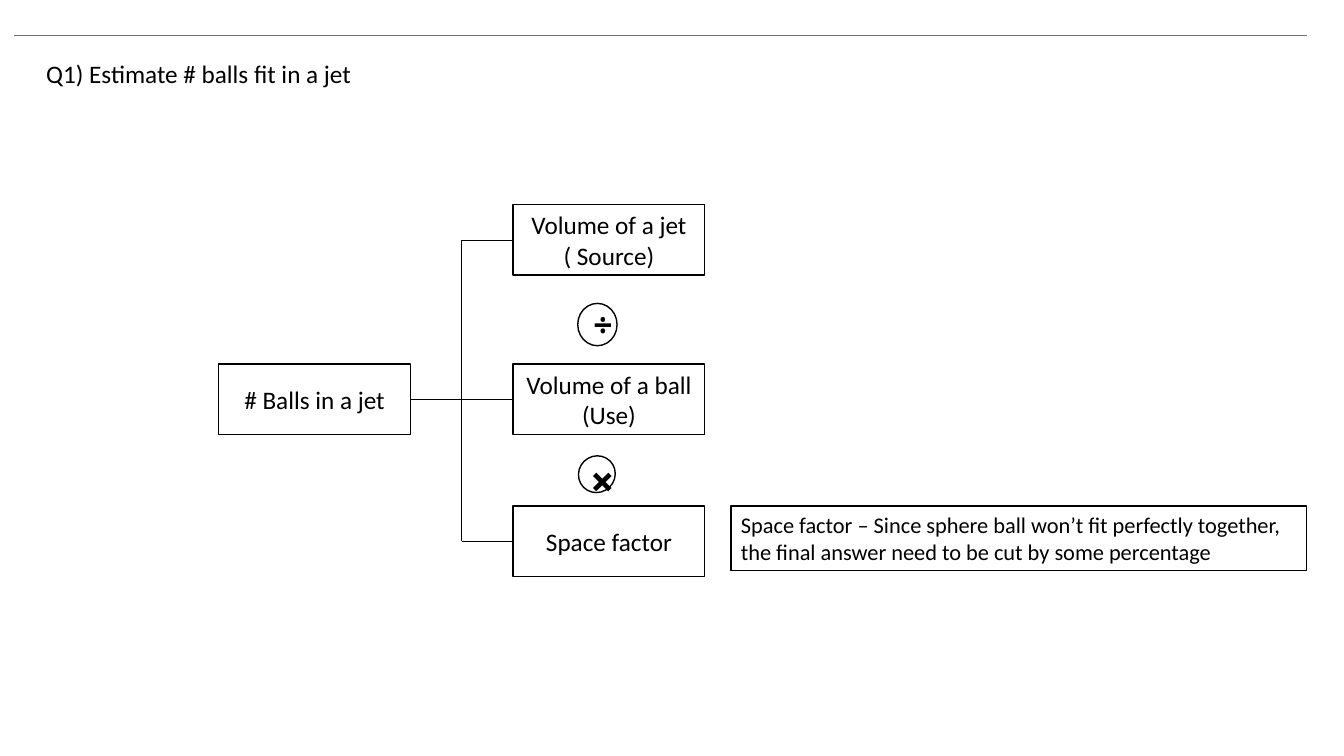
from dataclasses import dataclass

from lxml.etree import SubElement
from pptx import Presentation
from pptx.dml.color import RGBColor
from pptx.enum.shapes import MSO_CONNECTOR as Connector, MSO_SHAPE as Shape
from pptx.enum.text import MSO_ANCHOR as Anchor, MSO_AUTO_SIZE as AutoSize, PP_ALIGN as Align
from pptx.oxml.ns import qn
from pptx.util import Inches, Pt

TITLE = "Q1) Estimate # balls fit in a jet"
ROOT = "# Balls in a jet"
# Text and top of each factor; \v is a line break inside the paragraph.
FACTORS = [
    ("Volume of a jet\v( Source)", 2.03),
    ("Volume of a ball (Use)", 3.61),
    ("Space factor", 5.02),
]
# Sign, box (left, top, width, height), type size, rotation
OPERATORS = [
    ("÷", (5.73, 3.01, 0.39, 0.42), 24, 0),
    ("+", (5.74, 4.52, 0.36, 0.37), 32, 45.4),
]
NOTE = ("Space factor – Since sphere ball won’t fit perfectly together, "
        "the final answer need to be cut by some percentage")


@dataclass(frozen=True)
class Theme:
    ink: RGBColor = RGBColor(0x00, 0x00, 0x00)
    paper: RGBColor = RGBColor(0xFF, 0xFF, 0xFF)
    accent: RGBColor = RGBColor(0x44, 0x72, 0xC4)
    body_font: str = "Calibri"
    sign_font: str = "Open Sans"
    body_size: int = 18
    note_size: int = 16
    outline: float = 1
    branch: float = 0.5


THEME = Theme()
BOX_WIDTH, BOX_HEIGHT = 1.9, 0.7
ROOT_LEFT, FACTOR_LEFT = 2.17, 5.09
ROOT_TOP = FACTORS[1][1]
NOTE_LEFT, RIGHT_EDGE = 7.25, 12.96
LEFT_SIDE, RIGHT_SIDE = 1, 3


def write(shape, text, size=THEME.body_size, font=THEME.body_font, bold=False,
          align=Align.CENTER, anchor=Anchor.MIDDLE, grow=False):
    frame = shape.text_frame
    frame.word_wrap = True
    frame.vertical_anchor = anchor
    if grow:
        frame.auto_size = AutoSize.SHAPE_TO_FIT_TEXT
    paragraph = frame.paragraphs[0]
    paragraph.text = text
    paragraph.alignment = align
    for run in paragraph.runs:
        run.font.size = Pt(size)
        run.font.name = font
        run.font.bold = bold
        run.font.color.rgb = THEME.ink


def add_outlined(slide, kind, box, text, rotation=0, **text_format):
    shape = slide.shapes.add_shape(kind, *map(Inches, box))
    shape.shadow.inherit = False
    shape.rotation = rotation
    shape.fill.solid()
    shape.fill.fore_color.rgb = THEME.paper
    shape.line.color.rgb = THEME.ink
    shape.line.width = Pt(THEME.outline)
    write(shape, text, **text_format)
    return shape


def add_line(slide, start, end, color=THEME.ink, width=THEME.branch):
    line = slide.shapes.add_connector(Connector.STRAIGHT, *map(Inches, (*start, *end)))
    line.line.color.rgb = color
    line.line.width = Pt(width)
    SubElement(line._element.spPr, qn("a:effectLst"))
    return line


def add_tree(slide):
    """Join the root box to its factors through one vertical trunk."""
    root_right = ROOT_LEFT + BOX_WIDTH
    trunk = (root_right + FACTOR_LEFT) / 2
    root_middle = ROOT_TOP + BOX_HEIGHT / 2
    middles = [top + BOX_HEIGHT / 2 for _, top in FACTORS]

    root = add_outlined(slide, Shape.RECTANGLE,
                        (ROOT_LEFT, ROOT_TOP, BOX_WIDTH, BOX_HEIGHT), ROOT)
    stem = add_line(slide, (root_right, root_middle), (trunk, root_middle))
    stem.begin_connect(root, RIGHT_SIDE)
    add_line(slide, (trunk, middles[0]), (trunk, middles[-1]))
    for (text, top), middle in zip(FACTORS, middles):
        factor = add_outlined(slide, Shape.RECTANGLE,
                              (FACTOR_LEFT, top, BOX_WIDTH, BOX_HEIGHT), text)
        branch = add_line(slide, (trunk, middle), (FACTOR_LEFT, middle))
        branch.end_connect(factor, LEFT_SIDE)


def main():
    presentation = Presentation()
    presentation.slide_width, presentation.slide_height = Inches(13.33), Inches(7.5)
    slide = presentation.slides.add_slide(presentation.slide_layouts[6])

    add_line(slide, (0.14, 0.35), (RIGHT_EDGE, 0.35), THEME.accent, THEME.outline)
    title = slide.shapes.add_textbox(*map(Inches, (0.36, 0.53, 12, 0.4)))
    write(title, TITLE, align=Align.LEFT, anchor=Anchor.TOP, grow=True)

    add_tree(slide)
    for sign, box, size, rotation in OPERATORS:
        add_outlined(slide, Shape.OVAL, box, sign, rotation,
                     size=size, font=THEME.sign_font, bold=True)
    add_outlined(slide, Shape.RECTANGLE,
                 (NOTE_LEFT, FACTORS[-1][1], RIGHT_EDGE - NOTE_LEFT, 0.64), NOTE,
                 size=THEME.note_size, align=Align.LEFT, anchor=Anchor.TOP, grow=True)
    presentation.save("out.pptx")


if __name__ == "__main__":
    main()
